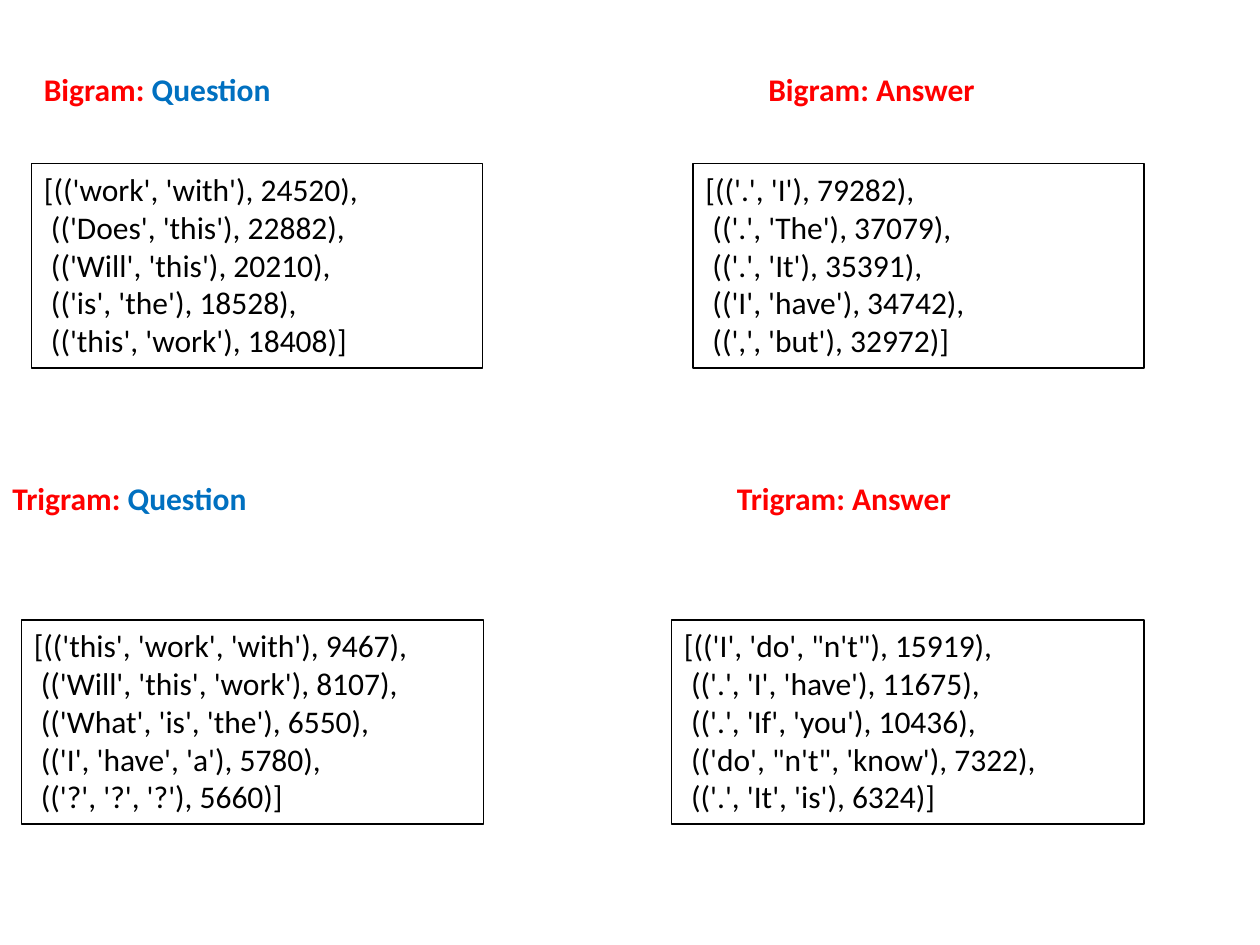
import pptx
import pptx.dml.color
import pptx.enum.shapes
import pptx.enum.text
import pptx.util
from pptx.util import Inches

RED = pptx.dml.color.RGBColor(0xFF, 0x00, 0x00)
BLUE = pptx.dml.color.RGBColor(0x00, 0x70, 0xC0)
BLACK = pptx.dml.color.RGBColor(0x00, 0x00, 0x00)

HEADING_WIDTH, HEADING_HEIGHT = 3.33, 0.4
LIST_HEIGHT = 1.62

# Heading runs, heading position, list box (left, top, width), n-gram counts
PANELS = [
    ([("Bigram: ", RED), ("Question", BLUE)], (0.25, 0.51), (0.25, 1.3, 3.58), [
        (("work", "with"), 24520),
        (("Does", "this"), 22882),
        (("Will", "this"), 20210),
        (("is", "the"), 18528),
        (("this", "work"), 18408),
    ]),
    ([("Bigram: Answer", RED)], (6, 0.51), (5.5, 1.3, 3.58), [
        ((".", "I"), 79282),
        ((".", "The"), 37079),
        ((".", "It"), 35391),
        (("I", "have"), 34742),
        ((",", "but"), 32972),
    ]),
    ([("Trigram: ", RED), ("Question", BLUE)], (0, 3.75), (0.17, 4.92, 3.67), [
        (("this", "work", "with"), 9467),
        (("Will", "this", "work"), 8107),
        (("What", "is", "the"), 6550),
        (("I", "have", "a"), 5780),
        (("?", "?", "?"), 5660),
    ]),
    ([("Trigram: Answer", RED)], (5.75, 3.75), (5.33, 4.92, 3.75), [
        (("I", "do", "n't"), 15919),
        ((".", "I", "have"), 11675),
        ((".", "If", "you"), 10436),
        (("do", "n't", "know"), 7322),
        ((".", "It", "is"), 6324),
    ]),
]


def add_run(paragraph, text, color=BLACK, bold=False, size=18):
    paragraph.alignment = pptx.enum.text.PP_ALIGN.LEFT
    run = paragraph.add_run()
    run.text = text
    run.font.name = "Calibri"
    run.font.size = pptx.util.Pt(size)
    run.font.bold = bold
    run.font.color.rgb = color


def add_heading(slide, runs, left, top):
    shape = slide.shapes.add_textbox(
        Inches(left), Inches(top), Inches(HEADING_WIDTH), Inches(HEADING_HEIGHT))
    shape.text_frame.word_wrap = True
    for text, color in runs:
        add_run(shape.text_frame.paragraphs[0], text, color=color, bold=True)


def format_counts(counts):
    """Return the lines of the counts as a printed Python list."""
    lines = [f" {entry!r}," for entry in counts]
    lines[0] = "[" + lines[0].lstrip()
    lines[-1] = lines[-1].rstrip(",") + "]"
    return lines


def add_count_list(slide, counts, left, top, width):
    shape = slide.shapes.add_shape(
        pptx.enum.shapes.MSO_SHAPE.RECTANGLE,
        Inches(left), Inches(top), Inches(width), Inches(LIST_HEIGHT))
    shape.shadow.inherit = False
    shape.fill.background()
    shape.line.color.rgb = BLACK
    shape.line.width = pptx.util.Pt(0.75)
    frame = shape.text_frame
    frame.word_wrap = True
    frame.vertical_anchor = pptx.enum.text.MSO_ANCHOR.TOP
    for index, line in enumerate(format_counts(counts)):
        paragraph = frame.add_paragraph() if index else frame.paragraphs[0]
        add_run(paragraph, line)


def main():
    presentation = pptx.Presentation()
    presentation.slide_width = Inches(10)
    presentation.slide_height = Inches(7.5)
    slide = presentation.slides.add_slide(presentation.slide_layouts[6])
    for runs, heading_position, list_box, counts in PANELS:
        add_heading(slide, runs, *heading_position)
        add_count_list(slide, counts, *list_box)
    presentation.save("out.pptx")


if __name__ == "__main__":
    main()
